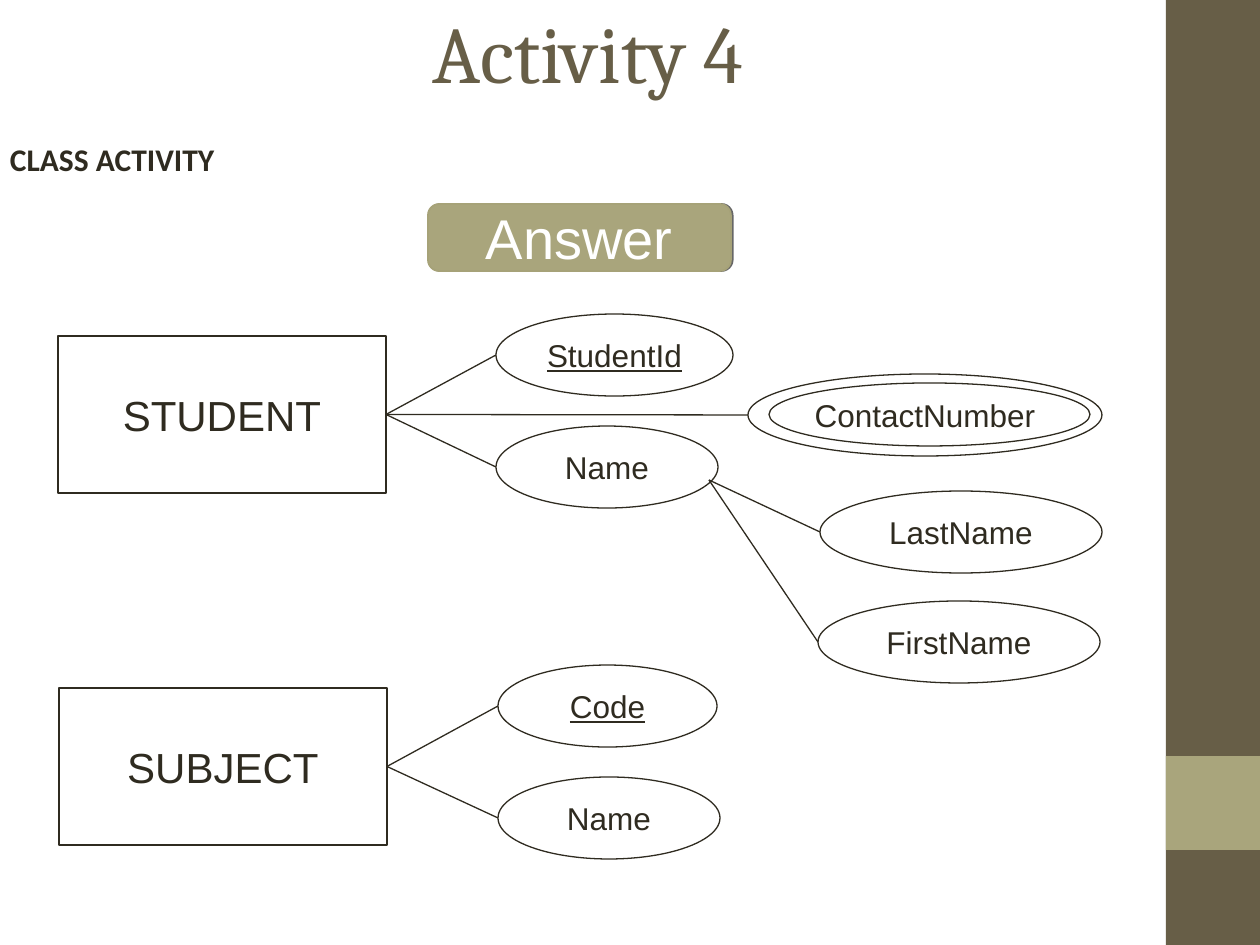
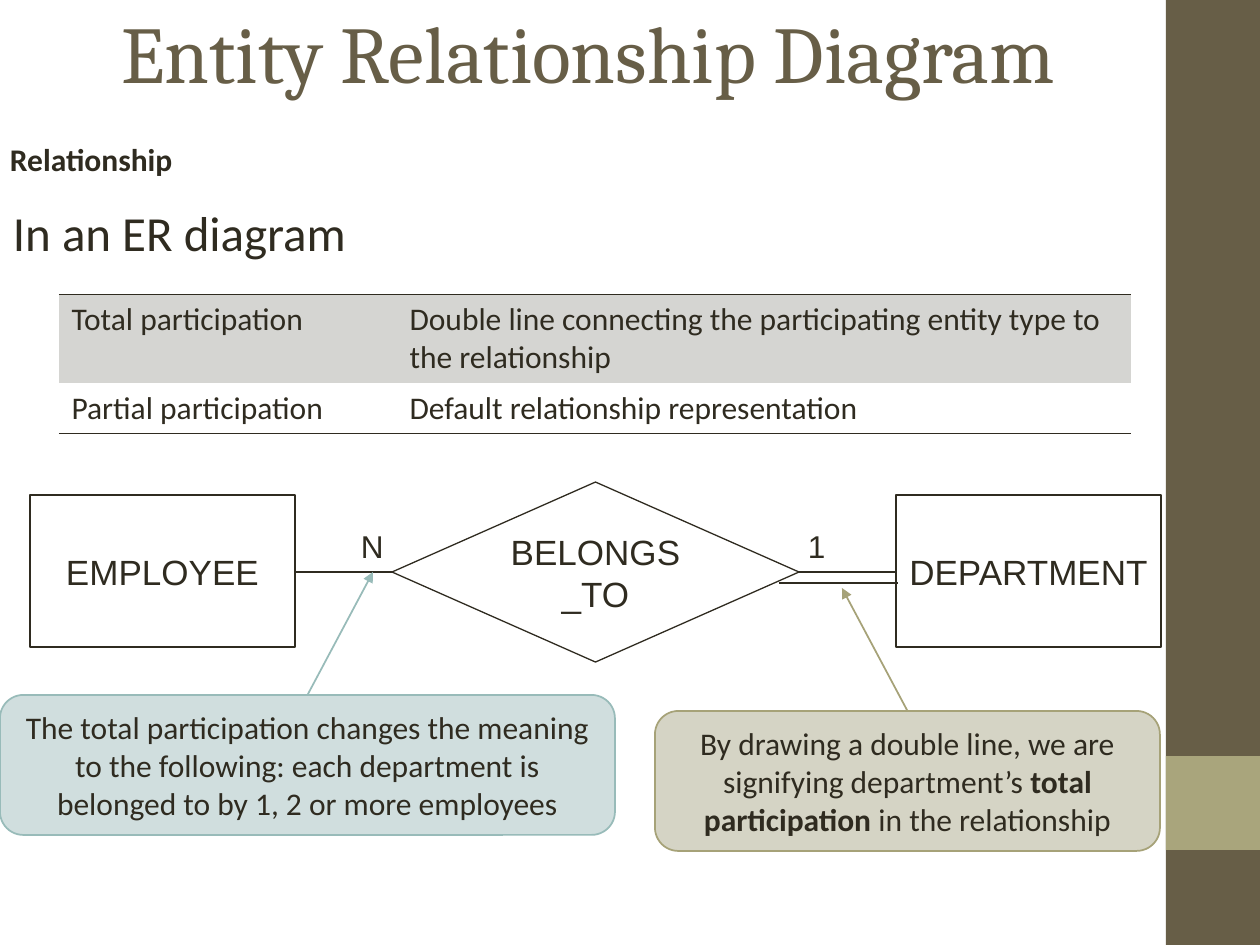
from lxml.etree import SubElement
from pptx import Presentation
from pptx.dml.color import RGBColor
from pptx.enum.shapes import MSO_CONNECTOR, MSO_SHAPE
from pptx.enum.text import MSO_ANCHOR, PP_ALIGN
from pptx.oxml.ns import qn
from pptx.util import Emu, Pt

PX_PER_INCH = 126
INK, BROWN, OLIVE, WHITE = "2F2B20", "675E47", "A9A57C", "FFFFFF"
OLIVE_EDGE, OLIVE_PALE = "A6A278", "D5D4C5"
TEAL_EDGE, TEAL_PALE = "98BBB9", "D0DEDE"
ROW_GREY = "D5D5D2"
HEADING, BODY, DIAGRAM = "Cambria", "Calibri", "Arial"
TITLE_ONLY = 5
ATTRIBUTE_HEIGHT = 82


def px(length):
    return Emu(round(length * 914400 / PX_PER_INCH))


def color(hex_value):
    return RGBColor.from_string(hex_value)


# Text and shape helpers
def add_runs(para, runs, size, font, ink=INK, align=None):
    """Add (text, style) runs; style is '', 'bold' or 'underline'."""
    para.alignment = align
    for text, style in runs:
        span = para.add_run()
        span.text = text
        span.font.size = Pt(size)
        span.font.name = font
        span.font.color.rgb = color(ink)
        span.font.bold = style == "bold"
        span.font.underline = style == "underline"


def add_text(slide, box, runs, size, font, inset=(13, 6)):
    text_box = slide.shapes.add_textbox(*map(px, box))
    frame = text_box.text_frame
    frame.word_wrap = True
    frame.margin_left = frame.margin_right = px(inset[0])
    frame.margin_top = frame.margin_bottom = px(inset[1])
    add_runs(frame.paragraphs[0], runs, size, font)
    return frame.paragraphs[0]


def add_box(slide, kind, box, fill=None, edge=INK, edge_width=0.75):
    shape = slide.shapes.add_shape(kind, *map(px, box))
    shape.shadow.inherit = False
    if fill:
        shape.fill.solid()
        shape.fill.fore_color.rgb = color(fill)
    else:
        shape.fill.background()
    if edge:
        shape.line.color.rgb = color(edge)
        shape.line.width = Pt(edge_width)
    else:
        shape.line.fill.background()
    return shape


def add_label(shape, runs, size, font, ink=INK, wrap=False):
    frame = shape.text_frame
    frame.word_wrap = wrap
    frame.vertical_anchor = MSO_ANCHOR.MIDDLE
    add_runs(frame.paragraphs[0], runs, size, font, ink, PP_ALIGN.CENTER)


def add_line(slide, start, end, ink=INK, width=0.75, arrow=False):
    line = slide.shapes.add_connector(
        MSO_CONNECTOR.STRAIGHT, *map(px, (*start, *end)))
    line.line.color.rgb = color(ink)
    line.line.width = Pt(width)
    properties = line._element.spPr
    if arrow:
        SubElement(properties.find(qn("a:ln")), qn("a:tailEnd"), type="triangle")
    SubElement(properties, qn("a:effectLst"))


# Parts that both slides share
def add_base_slide(deck, title, subheading):
    slide = deck.slides.add_slide(deck.slide_layouts[TITLE_ONLY])
    for box, fill in (((1166, 0, 94, 945), BROWN), ((1166, 756, 94, 94), OLIVE)):
        add_box(slide, MSO_SHAPE.RECTANGLE, box, fill, edge=None)

    holder = slide.shapes.title
    holder.left, holder.top, holder.width, holder.height = map(
        px, (63, 0, 1050, 103))
    holder.text_frame.vertical_anchor = MSO_ANCHOR.MIDDLE
    add_runs(holder.text_frame.paragraphs[0], [(title, "")], 46, HEADING,
             BROWN, PP_ALIGN.CENTER)

    para = add_text(slide, (0, 146, 252, 44), [(subheading, "bold")], 18, BODY,
                    inset=(10, 0))
    para.line_spacing = Pt(18)
    return slide


# Entity and attribute diagram
def add_entity(slide, box, name, size, fill=None):
    shape = add_box(slide, MSO_SHAPE.RECTANGLE, box, fill)
    add_label(shape, [(name, "")], size, DIAGRAM)


def add_attribute(slide, joint, left, top, width, name, style=""):
    """Draw an attribute and the line that ties it to the joint."""
    oval = add_box(slide, MSO_SHAPE.OVAL, (left, top, width, ATTRIBUTE_HEIGHT))
    add_label(oval, [(name, style)], 18, DIAGRAM)
    add_line(slide, joint, (left, top + ATTRIBUTE_HEIGHT / 2))


def add_entity_with_attributes(slide, left, top, name, attributes):
    """Attributes are (dx, dy, width, name, style), offset from the entity."""
    width, height = 328, 157
    add_entity(slide, (left, top, width, height), name, 24)
    joint = (left + width, top + height / 2)
    for dx, dy, oval_width, label, style in attributes:
        add_attribute(slide, joint, left + dx, top + dy, oval_width, label, style)


def add_answer_badge(slide, box):
    badge = add_box(slide, MSO_SHAPE.ROUNDED_RECTANGLE, box, OLIVE, OLIVE_EDGE, 1)
    effects = badge._element.spPr.find(qn("a:effectLst"))
    shadow = SubElement(effects, qn("a:outerShdw"), dist="12700", dir="0")
    black = SubElement(shadow, qn("a:srgbClr"), val="000000")
    SubElement(black, qn("a:alpha"), val="60000")
    add_label(badge, [("Answer", "")], 32, DIAGRAM, WHITE)


def build_activity_slide(deck):
    slide = add_base_slide(deck, "Activity 4", "CLASS ACTIVITY")
    add_answer_badge(slide, (428, 204, 303, 67))
    add_entity_with_attributes(slide, 59, 688, "SUBJECT", [
        (439, -23, 219, "Code", "underline"),
        (439, 89, 222, "Name", ""),
    ])
    add_entity_with_attributes(slide, 58, 336, "STUDENT", [
        (438, -22, 237, "StudentId", "underline"),
        (690, 38, 354, "ContactNumber", ""),
        (438, 90, 222, "Name", ""),
    ])
    # Inner ring of the multivalued attribute
    add_box(slide, MSO_SHAPE.OVAL, (769, 383, 321, 63))
    # Parts of the composite name
    name_joint = (709, 480)
    add_attribute(slide, name_joint, 820, 491, 282, "LastName")
    add_attribute(slide, name_joint, 818, 601, 282, "FirstName")


# Participation table
def set_borders(cell, ruled_side):
    properties = cell._tc.get_or_add_tcPr()
    for position, side in enumerate(("lnL", "lnR", "lnT", "lnB")):
        ruled = side == ruled_side
        border = SubElement(properties, qn(f"a:{side}"), w="5715")
        paint = SubElement(border, qn("a:solidFill" if ruled else "a:noFill"))
        if ruled:
            SubElement(paint, qn("a:srgbClr"), val=INK)
        properties.insert(position, border)


def add_participation_table(slide, left, top):
    widths, heights = (338, 734), (89, 50)
    rows = (
        ("Total participation",
         "Double line connecting the participating entity type to the relationship"),
        ("Partial participation", "Default relationship representation"),
    )
    table = slide.shapes.add_table(
        len(rows), len(widths),
        *map(px, (left, top, sum(widths), sum(heights)))).table
    table.first_row = table.horz_banding = False
    for column, width in zip(table.columns, widths):
        column.width = px(width)
    for index, texts in enumerate(rows):
        table.rows[index].height = px(heights[index])
        for cell, text in zip(table.rows[index].cells, texts):
            if index == 0:
                cell.fill.solid()
                cell.fill.fore_color.rgb = color(ROW_GREY)
            else:
                cell.fill.background()
            set_borders(cell, "lnT" if index == 0 else "lnB")
            add_runs(cell.text_frame.paragraphs[0], [(text, "")], 18, BODY)


# Relationship diagram and its callouts
def add_relationship(slide, left, top):
    middle = top + 90
    for dx, name in ((0, "EMPLOYEE"), (866, "DEPARTMENT")):
        add_entity(slide, (left + dx, top + 13, 265, 152), name, 20, WHITE)
    diamond = add_box(slide, MSO_SHAPE.DIAMOND, (left + 362, top, 407, 180), WHITE)
    add_label(diamond, [("BELONGS_TO", "")], 20, DIAGRAM, wrap=True)
    for start, end, y in ((265, 362, middle), (769, 866, middle),
                          (749, 868, middle + 11)):
        add_line(slide, (left + start, y), (left + end, y))
    for dx, count in ((318, "N"), (765, "1")):
        add_text(slide, (left + dx, top + 39, 49, 49), [(count, "")], 18, DIAGRAM)


def add_callout(slide, box, runs, fill, edge, target):
    left, top, width, _ = box
    add_line(slide, (left + width / 2, top), target, edge, 1, arrow=True)
    shape = add_box(slide, MSO_SHAPE.ROUNDED_RECTANGLE, box, fill, edge, 1)
    add_label(shape, runs, 18, BODY, wrap=True)


def build_relationship_slide(deck):
    slide = add_base_slide(deck, "Entity Relationship Diagram", "Relationship")
    add_text(slide, (0, 197, 1160, 75), [("In an ER diagram", "")], 28, BODY)
    add_participation_table(slide, 59, 294)
    add_relationship(slide, 30, 482)
    add_callout(slide, (655, 711, 505, 140), [
        ("By drawing a double line, we are signifying department’s ", ""),
        ("total participation", "bold"),
        (" in the relationship", ""),
    ], OLIVE_PALE, OLIVE_EDGE, (842, 588))
    add_callout(slide, (0, 695, 615, 140), [
        ("The total participation changes the meaning to the following: each "
         "department is belonged to by 1, 2 or more employees", ""),
    ], TEAL_PALE, TEAL_EDGE, (373, 572))


def main():
    deck = Presentation()
    deck.slide_width, deck.slide_height = px(1260), px(945)
    build_activity_slide(deck)
    build_relationship_slide(deck)
    deck.save("out.pptx")


if __name__ == "__main__":
    main()
